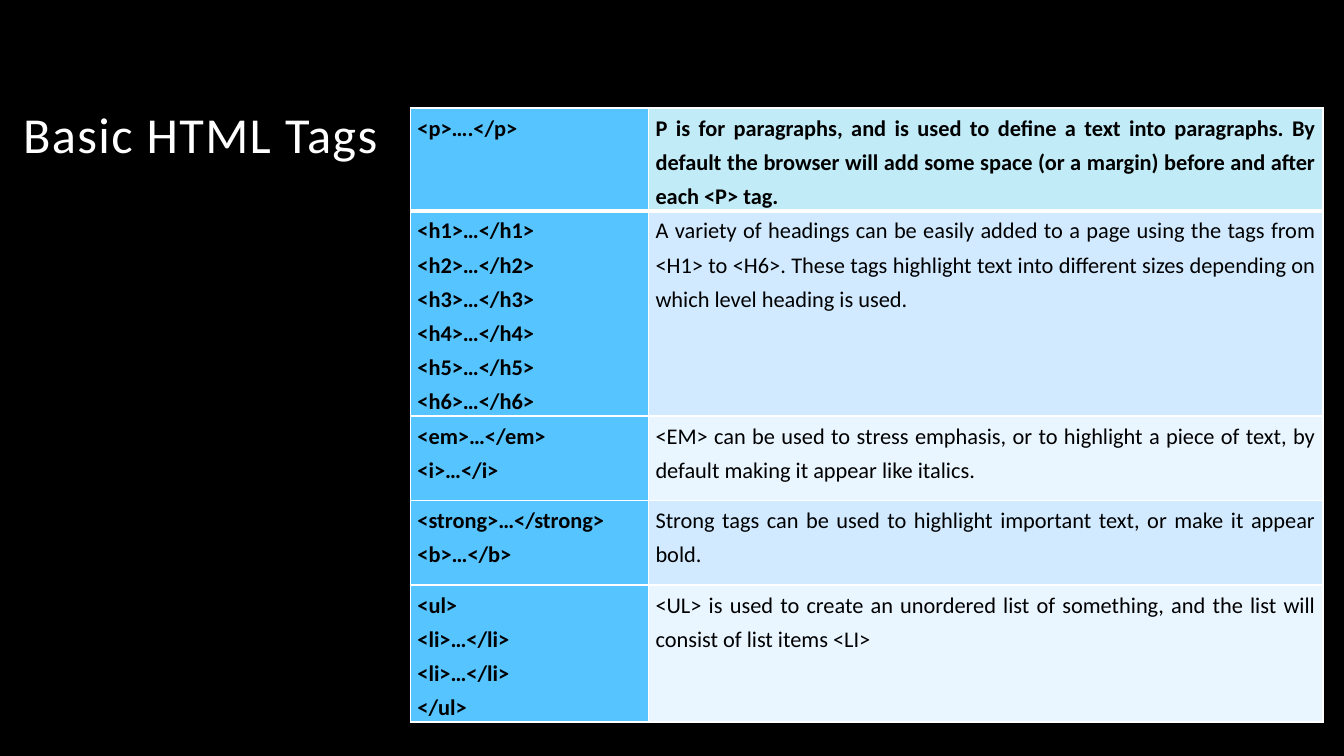
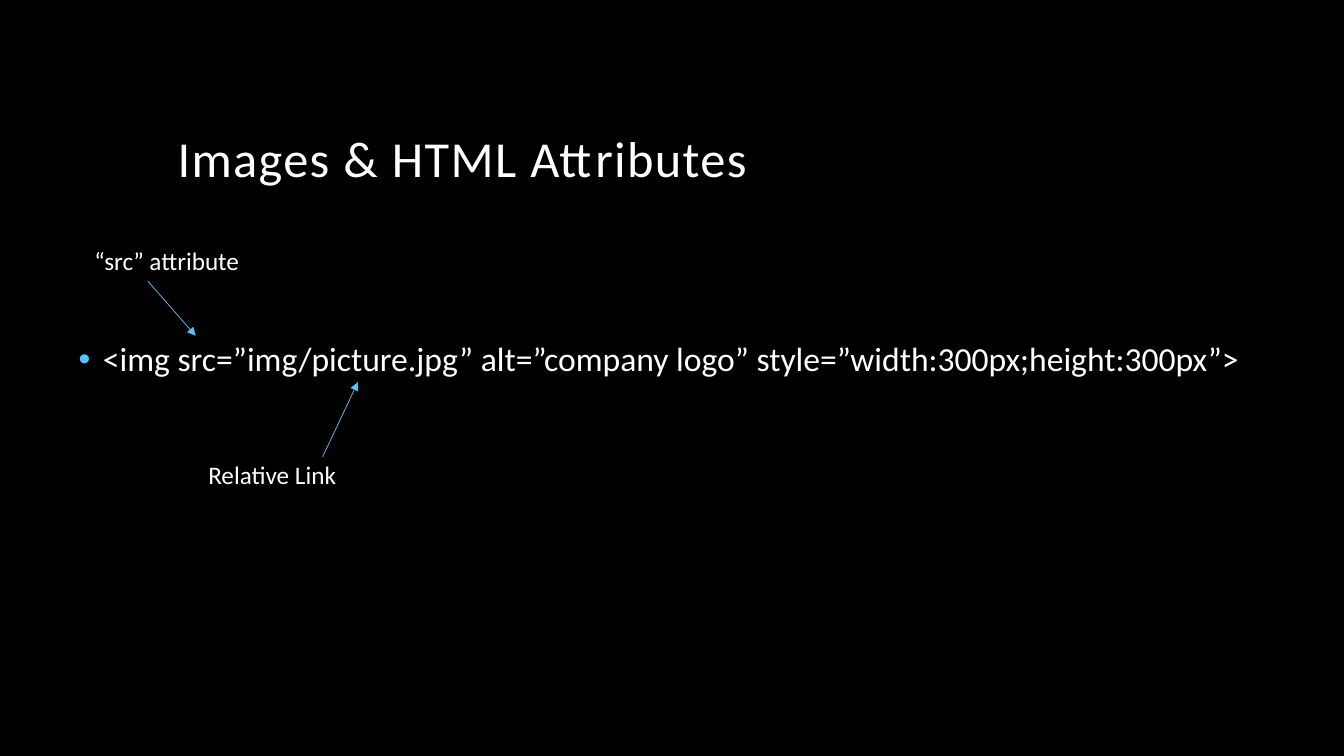
from lxml.etree import SubElement
from pptx import Presentation
from pptx.dml.color import RGBColor
from pptx.enum.shapes import MSO_CONNECTOR
from pptx.enum.text import MSO_ANCHOR, MSO_AUTO_SIZE, PP_ALIGN
from pptx.oxml.ns import qn
from pptx.util import Cm, Pt

BLACK = RGBColor(0x00, 0x00, 0x00)
WHITE = RGBColor(0xFF, 0xFF, 0xFF)
BLUE = RGBColor(0x56, 0xC5, 0xFF)
AQUA = RGBColor(0xC1, 0xEB, 0xF7)
PALE = RGBColor(0xD1, 0xEA, 0xFF)
LIGHT = RGBColor(0xE9, 0xF5, 0xFF)
FONT = "Calibri"


def add_run(para, text, size, color=WHITE, bold=False):
    run = para.add_run()
    run.text = text
    font = run.font
    font.name, font.size, font.bold = FONT, Pt(size), bold
    font.color.rgb = color
    return run


def add_slide(layout, title, left, top, width):
    """Add a slide and set its title in the shared style."""
    slide = prs.slides.add_slide(prs.slide_layouts[layout])
    shape = slide.shapes.title
    shape.left, shape.top = Cm(left), Cm(top)
    shape.width, shape.height = Cm(width), Cm(3.81)
    frame = shape.text_frame
    frame.auto_size = MSO_AUTO_SIZE.NONE
    frame.vertical_anchor = MSO_ANCHOR.BOTTOM
    para = frame.paragraphs[0]
    para.alignment, para.line_spacing = PP_ALIGN.LEFT, 0.9
    run = add_run(para, title, 36)
    run.font._element.set("spc", "100")
    return slide


prs = Presentation()
prs.slide_width, prs.slide_height = Cm(33.87), Cm(19.05)
back = prs.slide_master.background.fill
back.solid()
back.fore_color.rgb = BLACK

# Slide 1: table of tags
slide = add_slide(5, "Basic HTML Tags", 0.33, 0.46, 10.31)
rows = [
    (2.59, AQUA, ["<p>….</p>"],
     "P is for paragraphs, and is used to define a text into paragraphs. "
     "By default the browser will add some space (or a margin) before and "
     "after each <P> tag. "),
    (5.16, PALE, [f"<h{n}>…</h{n}>" for n in range(1, 7)],
     "A variety of headings can be easily added to a page using the tags "
     "from <H1> to <H6>. These tags highlight text into different sizes "
     "depending on which level heading is used."),
    (2.13, LIGHT, ["<em>…</em>", "<i>…</i>"],
     "<EM> can be used to stress emphasis, or to highlight a piece of text, "
     "by default making it appear like italics."),
    (2.13, PALE, ["<strong>…</strong>", "<b>…</b>"],
     "Strong tags can be used to highlight important text, or make it "
     "appear bold."),
    (3.45, LIGHT, ["<ul>", "<li>…</li>", "<li>…</li>", "</ul>"],
     "<UL> is used to create an unordered list of something, and the list "
     "will consist of list items <LI>"),
]
widths = [6, 17]
high = sum(row[0] for row in rows)
table = slide.shapes.add_table(len(rows), 2, Cm(10.34), Cm(2.72),
                               Cm(sum(widths)), Cm(high)).table
table.first_row = table.horz_banding = False
for col, width in zip(table.columns, widths):
    col.width = Cm(width)

for i, (height, tint, tags, note) in enumerate(rows):
    table.rows[i].height = Cm(height)
    for j, (lines, fill) in enumerate([(tags, BLUE), ([note], tint)]):
        cell = table.cell(i, j)
        cell.margin_left = cell.margin_right = Cm(0.18)
        cell.margin_top = cell.margin_bottom = 0
        props = cell._tc.get_or_add_tcPr()
        for side in "LRTB":
            thick = (i, side) in [(0, "B"), (1, "T")]
            line = SubElement(props, qn(f"a:ln{side}"),
                              w=str(Pt(3 if thick else 1)))
            solid = SubElement(line, qn("a:solidFill"))
            SubElement(solid, qn("a:srgbClr"), val=str(WHITE))
        cell.fill.solid()
        cell.fill.fore_color.rgb = fill
        frame = cell.text_frame
        for k, text in enumerate(lines):
            para = frame.add_paragraph() if k else frame.paragraphs[0]
            para.alignment, para.line_spacing = PP_ALIGN.JUSTIFY, 1.25
            add_run(para, text, 16, BLACK, bold=j == 0 or i == 0)

# Slide 2: image tag with labelled parts
slide = add_slide(1, "Images & HTML Attributes", 4.22, 1.07, 25.4)
body = slide.placeholders[1]
body.left, body.top, body.width, body.height = Cm(1.73), Cm(8.51), Cm(30.81), Cm(8.2)
body.text_frame.auto_size = MSO_AUTO_SIZE.NONE
para = body.text_frame.paragraphs[0]
para.line_spacing, para.space_before = 0.9, Pt(0)
add_run(para, "<img src=”img/picture.jpg” alt=”company logo” "
              "style=”width:300px;height:300px”>", 24)
props = para._p.get_or_add_pPr()
props.set("marL", str(Cm(0.61)))
props.set("indent", str(Cm(-0.61)))
SubElement(SubElement(props, qn("a:buClr")), qn("a:srgbClr"), val=str(BLUE))
SubElement(props, qn("a:buFont"), typeface="Arial")
SubElement(props, qn("a:buChar"), char="•")

labels = [
    ("“src” attribute", 2.13, 6.05, (3.73, 7.09, 4.93, 8.46)),
    ("Relative Link", 5, 11.46, (8.13, 11.51, 9.02, 9.63)),
]
for text, left, top, ends in labels:
    box = slide.shapes.add_textbox(Cm(left), Cm(top), Cm(5.31), Cm(1.02))
    box.text_frame.word_wrap = True
    add_run(box.text_frame.paragraphs[0], text, 18)
    arrow = slide.shapes.add_connector(MSO_CONNECTOR.STRAIGHT,
                                       *[Cm(end) for end in ends])
    arrow.line.color.rgb = BLUE
    arrow.line.width = Pt(0.5)
    SubElement(arrow.line._get_or_add_ln(), qn("a:tailEnd"), type="triangle")
    SubElement(arrow._element.spPr, qn("a:effectLst"))

prs.save("out.pptx")
